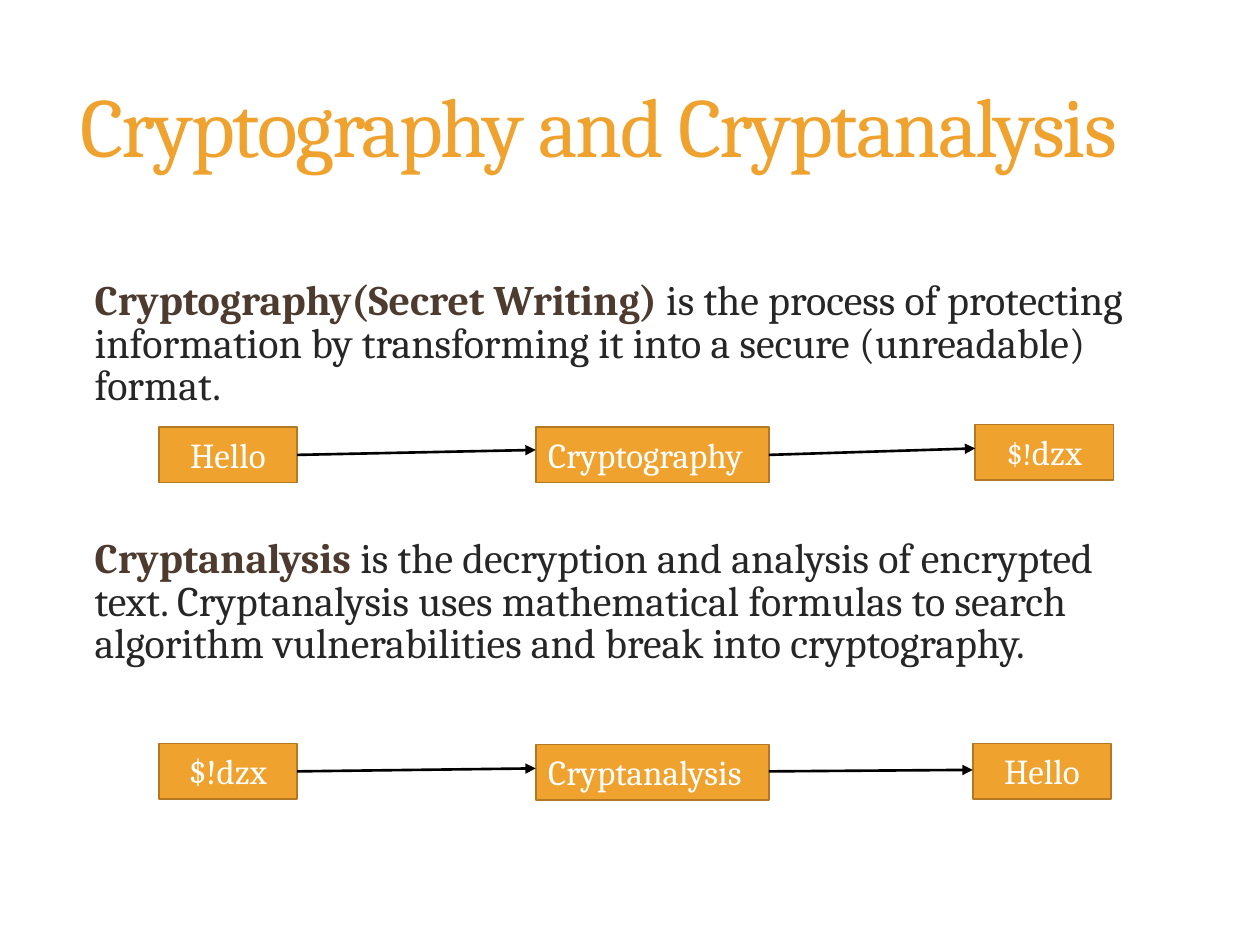
from dataclasses import dataclass

from lxml import etree
from pptx import Presentation
from pptx.dml.color import RGBColor
from pptx.enum.shapes import MSO_CONNECTOR, MSO_SHAPE
from pptx.enum.text import MSO_ANCHOR, PP_ALIGN
from pptx.oxml.ns import qn
from pptx.util import Cm, Pt

RECTANGLE = MSO_SHAPE.RECTANGLE
STRAIGHT = MSO_CONNECTOR.STRAIGHT
MIDDLE, TOP = MSO_ANCHOR.MIDDLE, MSO_ANCHOR.TOP
LEFT, CENTER = PP_ALIGN.LEFT, PP_ALIGN.CENTER


@dataclass(frozen=True)
class Theme:
    font: str = "Cambria"
    accent: RGBColor = RGBColor(0xF0, 0xA2, 0x2E)
    border: RGBColor = RGBColor(0xB2, 0x78, 0x22)
    term: RGBColor = RGBColor(0x4E, 0x3B, 0x30)
    body: RGBColor = RGBColor(0x26, 0x26, 0x26)
    label: RGBColor = RGBColor(0xFF, 0xFF, 0xFF)
    arrow: RGBColor = RGBColor(0, 0, 0)
    title_size: Pt = Pt(48)
    body_size: Pt = Pt(24)
    label_size: Pt = Pt(20)
    symbol_size: Pt = Pt(18)


THEME = Theme()
BOX_HEIGHT = Cm(1.12)
MESSAGE_WIDTH = Cm(2.79)
PROCESS_WIDTH = Cm(4.7)
INPUT_LEFT = Cm(3.2)
PROCESS_LEFT = Cm(10.8)


def style_paragraph(paragraph, size, color, line_spacing=1.0):
    paragraph.font.name = THEME.font
    paragraph.font.size = size
    paragraph.font.color.rgb = color
    paragraph.line_spacing = line_spacing


def add_text_box(slide, left, top, width, height):
    frame = slide.shapes.add_textbox(left, top, width, height).text_frame
    frame.word_wrap = True
    return frame


def add_title(slide, text):
    frame = add_text_box(slide, Cm(1.37), Cm(0.33), Cm(23.72), Cm(4.6))
    frame.vertical_anchor = MIDDLE
    paragraph = frame.paragraphs[0]
    style_paragraph(paragraph, THEME.title_size, THEME.accent, 0.9)
    run = paragraph.add_run()
    run.text = text
    run.font._element.set("spc", "-120")


def add_definition(slide, top, term, explanation):
    frame = add_text_box(slide, Cm(1.4), top, Cm(22.4), Cm(2.9))
    frame.margin_left = Cm(0.51)
    paragraph = frame.paragraphs[0]
    style_paragraph(paragraph, THEME.body_size, THEME.body, 0.85)
    term_run = paragraph.add_run()
    term_run.text = term
    term_run.font.bold = True
    term_run.font.color.rgb = THEME.term
    paragraph.add_run().text = explanation


def add_box(slide, left, top, width, runs, alignment=CENTER):
    """Add a labelled box; runs are (text, size) pairs."""
    box = slide.shapes.add_shape(RECTANGLE, left, top, width, BOX_HEIGHT)
    box.shadow.inherit = False
    box.fill.solid()
    box.fill.fore_color.rgb = THEME.accent
    box.line.color.rgb = THEME.border
    box.line.width = Pt(1)
    frame = box.text_frame
    frame.word_wrap = True
    frame.vertical_anchor = TOP
    paragraph = frame.paragraphs[0]
    paragraph.alignment = alignment
    style_paragraph(paragraph, THEME.label_size, THEME.label)
    for text, size in runs:
        run = paragraph.add_run()
        run.text = text
        run.font.size = size
    return box


def add_arrow(slide, source, target, start_y, end_y):
    arrow = slide.shapes.add_connector(
        STRAIGHT, source.left + source.width, start_y, target.left, end_y)
    arrow.line.color.rgb = THEME.arrow
    arrow.line.width = Pt(1.5)
    line = arrow.line._get_or_add_ln()
    etree.SubElement(line, qn("a:tailEnd"), type="triangle")
    etree.SubElement(arrow._element.spPr, qn("a:effectLst"))


def add_flow(slide, labels, tops, output_left, arrow_ends):
    """Add input, process and output boxes joined by two arrows."""
    lefts = (INPUT_LEFT, PROCESS_LEFT, output_left)
    widths = (MESSAGE_WIDTH, PROCESS_WIDTH, MESSAGE_WIDTH)
    alignments = (CENTER, LEFT, CENTER)
    boxes = [add_box(slide, left, top, width, runs, alignment)
             for left, top, width, runs, alignment
             in zip(lefts, tops, widths, labels, alignments)]
    start_y = tops[0] + BOX_HEIGHT // 2
    for source, target, end_y in zip(boxes, boxes[1:], arrow_ends):
        add_arrow(slide, source, target, start_y, end_y)


def main():
    presentation = Presentation()
    presentation.slide_width = Cm(25.4)
    presentation.slide_height = Cm(19.05)
    slide = presentation.slides.add_slide(presentation.slide_layouts[6])
    size = THEME.label_size

    add_title(slide, "Cryptography and Cryptanalysis")
    add_definition(
        slide, Cm(5.54), "Cryptography(Secret Writing) ",
        "is the process of protecting information by transforming it into "
        "a secure (unreadable) format.")
    add_flow(
        slide,
        [[("Hello", size)], [("Cryptography", size)],
         [("$!", THEME.symbol_size), ("dzx", size)]],
        (Cm(8.61), Cm(8.61), Cm(8.56)), Cm(19.66), (Cm(9.07), Cm(9.04)))
    add_definition(
        slide, Cm(10.74), "Cryptanalysis ",
        "is the decryption and analysis of encrypted text. Cryptanalysis "
        "uses mathematical formulas to search algorithm vulnerabilities "
        "and break into cryptography.")
    add_flow(
        slide,
        [[("$!dzx", size)], [("Cryptanalysis", size)], [("Hello", size)]],
        (Cm(14.99), Cm(15.01), Cm(14.99)), Cm(19.61), (Cm(15.49), Cm(15.52)))

    presentation.save("out.pptx")


if __name__ == "__main__":
    main()
